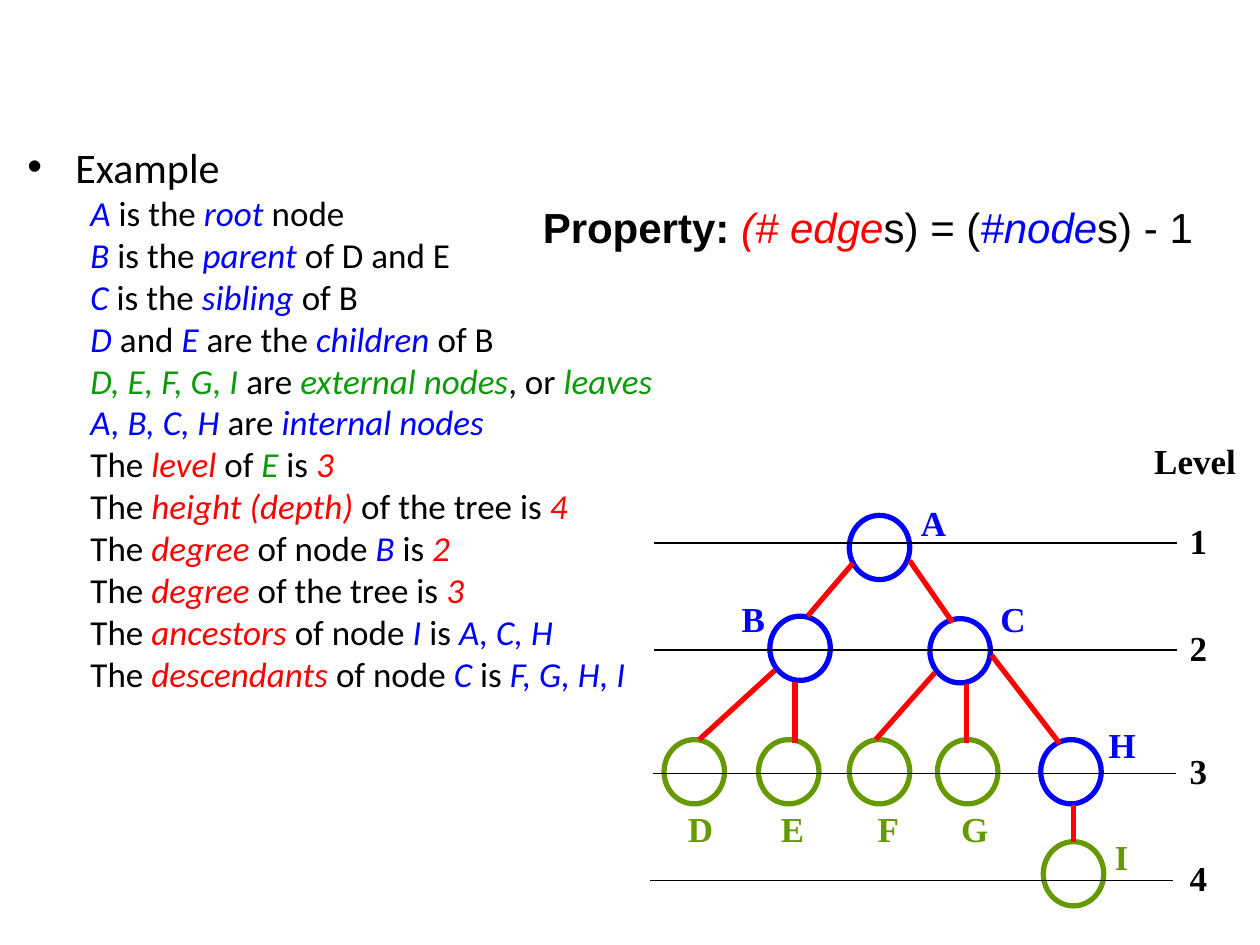
from lxml import etree
from pptx import Presentation
from pptx.dml.color import RGBColor
from pptx.enum.shapes import MSO_CONNECTOR, MSO_SHAPE
from pptx.enum.text import PP_ALIGN
from pptx.oxml.ns import qn
from pptx.util import Inches, Pt

CENTER = PP_ALIGN.CENTER
LEFT = PP_ALIGN.LEFT
STRAIGHT = MSO_CONNECTOR.STRAIGHT
OVAL = MSO_SHAPE.OVAL

COLUMNS, ROWS = 100, 75
CELL = Inches(0.1)
BLACK, BLUE, RED = "000000", "0000FF", "FF0000"
LEAF_TEXT, LEAF_NODE = "0A9A0A", "669900"
NODE_WIDTH, NODE_HEIGHT = 4.8, 5.1
LABEL_HEIGHT = 4.4

FACTS = [
    [("A ", BLUE), ("is the ", BLACK), ("root ", BLUE), ("node", BLACK)],
    [("B ", BLUE), ("is the ", BLACK), ("parent ", BLUE), ("of D and E", BLACK)],
    [("C ", BLUE), ("is the ", BLACK), ("sibling ", BLUE), ("of B", BLACK)],
    [("D ", BLUE), ("and ", BLACK), ("E ", BLUE), ("are the ", BLACK),
     ("children ", BLUE), ("of B", BLACK)],
    [("D, E, F, G, I", LEAF_TEXT), (" are ", BLACK), ("external nodes", LEAF_TEXT),
     (", or ", BLACK), ("leaves", LEAF_TEXT)],
    [("A, B, C, H ", BLUE), ("are ", BLACK), ("internal nodes", BLUE)],
    [("The ", BLACK), ("level", RED), (" of ", BLACK), ("E ", LEAF_TEXT),
     ("is ", BLACK), ("3", RED)],
    [("The ", BLACK), ("height (depth) ", RED), ("of the tree is ", BLACK), ("4", RED)],
    [("The ", BLACK), ("degree ", RED), ("of node ", BLACK), ("B ", BLUE),
     ("is ", BLACK), ("2", RED)],
    [("The ", BLACK), ("degree ", RED), ("of the tree is ", BLACK), ("3", RED)],
    [("The ", BLACK), ("ancestors ", RED), ("of node ", BLACK), ("I ", BLUE),
     ("is", BLACK), (" A, C, H", BLUE)],
    [("The ", BLACK), ("descendants ", RED), ("of node ", BLACK), ("C ", BLUE),
     ("is ", BLACK), ("F, G, H, I", BLUE)],
]
PROPERTY = [("Property: ", BLACK), ("(# edge", RED), ("s) = (", BLACK),
            ("#node", BLUE), ("s) - 1", BLACK)]

# name, node left and top, label centre and top, colour
NODES = [
    ("A", 17.4, 6.9, 24.1, 5.3, BLUE),
    ("B", 11.1, 14.9, 9.8, 12.9, BLUE),
    ("C", 23.8, 15.1, 30.4, 12.9, BLUE),
    ("D", 2.7, 24.7, 5.6, 29.6, LEAF_NODE),
    ("E", 10.2, 24.7, 12.9, 29.6, LEAF_NODE),
    ("F", 17.4, 24.7, 20.5, 29.6, LEAF_NODE),
    ("G", 24.4, 24.7, 27.3, 29.6, LEAF_NODE),
    ("H", 32.6, 24.7, 39.0, 22.9, BLUE),
    ("I", 32.8, 32.8, 39.0, 31.8, LEAF_NODE),
]
EDGES = [
    (17.7, 10.7, 14.1, 14.9), (22.2, 10.5, 25.6, 15.4),
    (11.5, 19.2, 5.5, 24.7), (13.1, 20.1, 13.1, 25.0),
    (24.2, 19.4, 19.5, 24.7), (26.7, 20.3, 26.7, 25.0),
    (28.7, 18.0, 34.1, 25.0), (35.2, 29.9, 35.2, 32.8),
]
LEVELS = [(1.9, 9.1), (1.9, 17.6), (1.8, 27.4), (1.6, 35.9)]
LEVEL_LENGTH = 41.5


def cells(*lengths):
    return [round(length * CELL) for length in lengths]


def color(value):
    return RGBColor.from_string(value)


def write_spans(para, spans, size, font):
    para.text = "".join(text for text, _ in spans)
    para.clear()
    for text, tint in spans:
        span = para.add_run()
        span.text = text
        span.font.name = font
        span.font.size = Pt(size)
        span.font.color.rgb = color(tint)
        span.font.italic = tint != BLACK


def add_text(page, left, top, width, height, wrap):
    box = page.shapes.add_textbox(*cells(left, top, width, height))
    box.text_frame.word_wrap = wrap
    return box.text_frame


def add_label(page, text, middle, top, width, tint):
    frame = add_text(page, middle - width / 2, top, width, LABEL_HEIGHT, False)
    frame.text = text
    para = frame.paragraphs[0]
    para.alignment = CENTER
    font = para.runs[0].font
    font.name, font.size, font.bold = "Times New Roman", Pt(20), True
    font.color.rgb = color(tint)


def add_line(page, ends, tint, weight):
    line = page.shapes.add_connector(STRAIGHT, *cells(*ends))
    line.line.color.rgb = color(tint)
    line.line.width = Pt(weight)
    etree.SubElement(line._element.spPr, qn("a:effectLst"))


def indent(para, left, first, bullet=None):
    properties = para._p.get_or_add_pPr()
    properties.set("marL", str(Inches(left)))
    properties.set("indent", str(Inches(first)))
    if bullet:
        etree.SubElement(properties, qn("a:buFont")).set("typeface", "Arial")
        etree.SubElement(properties, qn("a:buChar")).set("char", bullet)
    else:
        etree.SubElement(properties, qn("a:buNone"))


def place_facts(page, left, top, width, height):
    frame = add_text(page, left, top, width, height, True)
    heading = frame.paragraphs[0]
    heading.line_spacing = 0.8
    indent(heading, 0.38, -0.38, "•")
    write_spans(heading, [("Example", BLACK)], 24, "Calibri")
    for fact in FACTS:
        para = frame.add_paragraph()
        para.level = 1
        para.line_spacing = 0.8
        para.space_before = Pt(4.7)
        indent(para, 0.81, -0.31)
        write_spans(para, fact, 20, "Calibri")


def place_property(page, left, top, width, height):
    frame = add_text(page, left, top, width, height, False)
    para = frame.paragraphs[0]
    para.alignment = LEFT
    write_spans(para, PROPERTY, 24, "Arial")
    para.runs[0].font.bold = True


def place_tree(page, left, top):
    for name, x, y, label_x, label_y, tint in NODES:
        node = page.shapes.add_shape(
            OVAL, *cells(left + x, top + y, NODE_WIDTH, NODE_HEIGHT))
        node.shadow.inherit = False
        node.fill.background()
        node.line.color.rgb = color(tint)
        node.line.width = Pt(3)
        add_label(page, name, left + label_x, top + label_y, 4, tint)
    for x1, y1, x2, y2 in EDGES:
        add_line(page, (left + x1, top + y1, left + x2, top + y2), RED, 3)


def place_levels(page, left, top):
    add_label(page, "Level", left + 44.85, top + 0.4, 8.5, BLACK)
    for number, (x, y) in enumerate(LEVELS, 1):
        start, height = left + x, top + y
        add_line(page, (start, height, start + LEVEL_LENGTH, height), BLACK, 0.75)
        add_label(page, str(number), left + 45.1, height - 2.4, 3.4, BLACK)


def main():
    deck = Presentation()
    deck.slide_width, deck.slide_height = COLUMNS * CELL, ROWS * CELL
    page = deck.slides.add_slide(deck.slide_layouts[6])
    place_facts(page, 1.2, 11.5, 90, 44.9)
    place_tree(page, 50, 34)
    place_levels(page, 50, 34)
    place_property(page, 42.1, 15.5, 53.6, 5)
    deck.save("out.pptx")


if __name__ == "__main__":
    main()
